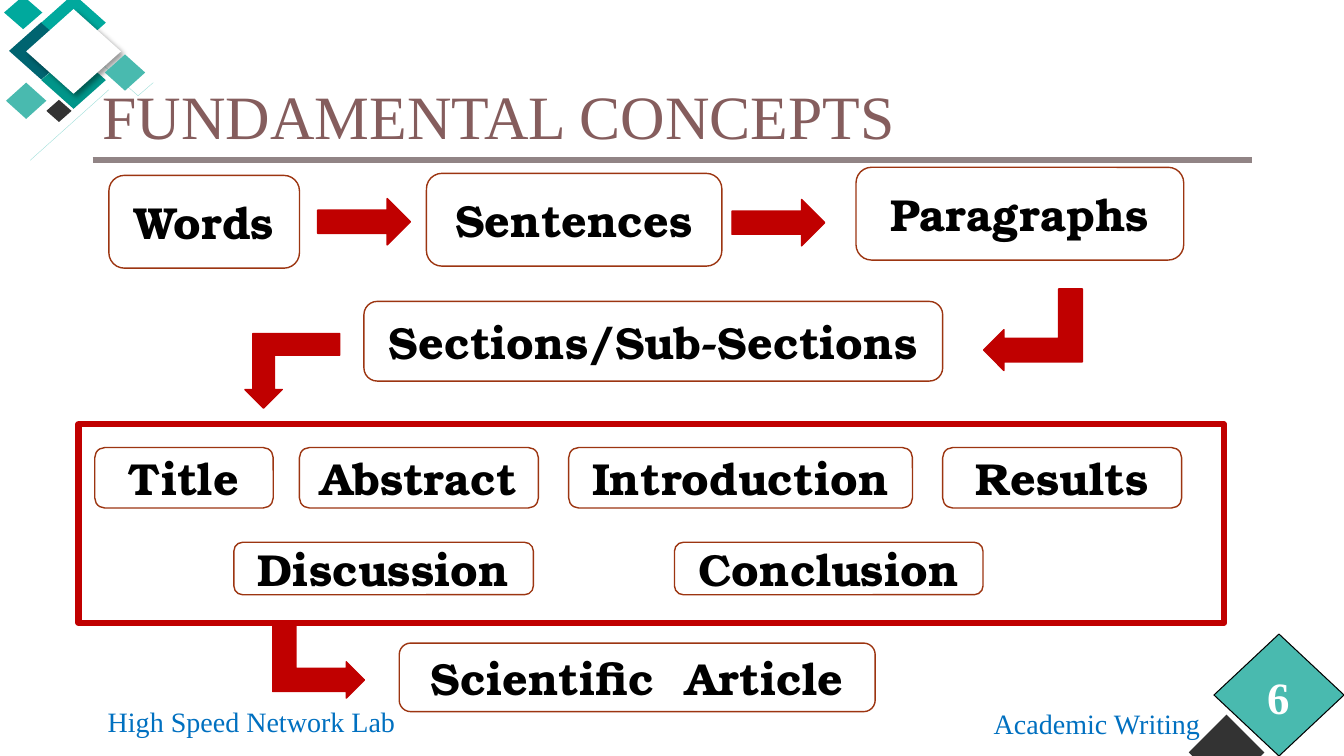
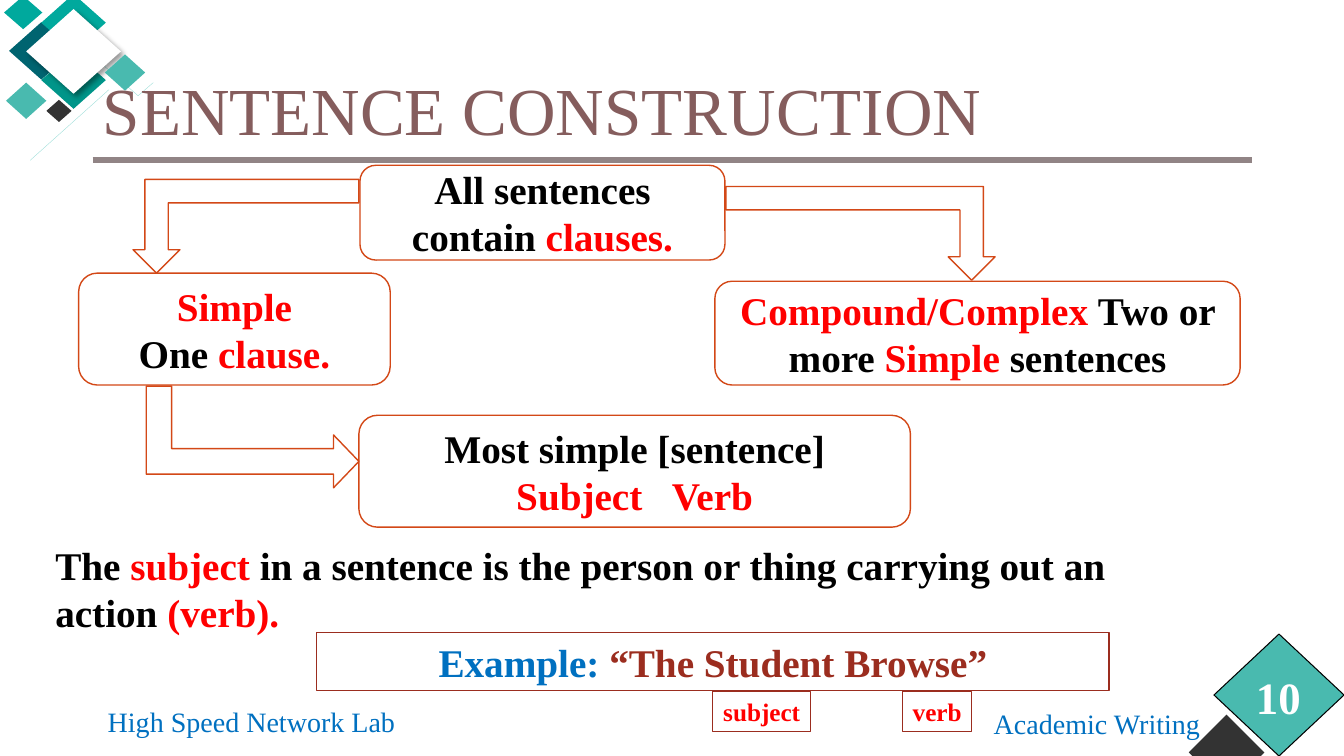
import lxml.etree
import pptx
import pptx.dml.color
import pptx.enum.shapes
import pptx.enum.text
import pptx.oxml.ns
import pptx.util

Inches, Pt = pptx.util.Inches, pptx.util.Pt
SHAPE = pptx.enum.shapes.MSO_SHAPE
ALIGN = pptx.enum.text.PP_ALIGN
qn = pptx.oxml.ns.qn

# Shared look
SERIF, DISPLAY = "Times New Roman", "TeX Gyre Bonum"
BLACK, WHITE, RED, BLUE = "000000", "FFFFFF", "FF0000", "0070C0"
TITLE, RULE, TEAL, MINT, CHARCOAL = "855D5D", "918485", "00A99D", "49BAAF", "333333"
RUST, ORANGE, CRIMSON, BRICK = "9C3511", "D34817", "C00000", "9B2D1F"

# Corner ornament: (left, top, width, height), fill
BACK_DIAMONDS = [
    ((0.09, 0.22, 0.64, 0.57), "006470"),
    ((0.41, -0.06, 0.64, 0.57), TEAL),
    ((0.04, -0.04, 0.38, 0.33), TEAL),
    ((0.41, 0.51, 0.64, 0.57), "009589"),
    ((0.46, 0.99, 0.25, 0.22), CHARCOAL),
]
HAIRLINES = [
    (0.8, 0.45, 1.37, 0.95),
    (1.37, 0.95, 1.52, 0.82),
    (1.08, 0.89, 0.3, 1.59),
]
CENTRE_DIAMOND = (0.26, 0.09, 0.94, 0.84)
FRONT_DIAMONDS = [
    ((1.04, 0.54, 0.4, 0.36), MINT),
    ((0.06, 0.82, 0.4, 0.36), MINT),
]
FOOTERS = [
    ("High Speed Network Lab", (0.97, 6.93, 3.32, 0.46), ALIGN.LEFT),
    ("Academic Writing", (9.71, 6.96, 2.34, 0.44), ALIGN.CENTER),
]

# Slide 1: steps as (runs, box); a run is text, colour and optional letter spacing
STEPS = [
    ([("Words", BLACK)], (1.08, 1.74, 1.89, 0.92)),
    ([("Sentences", BLACK)], (4.23, 1.72, 2.93, 0.92)),
    ([("Paragraphs", BLACK)], (8.49, 1.66, 3.25, 0.92)),
    ([("Sections/Sub-Sections", BLACK)], (3.61, 2.99, 5.74, 0.79)),
    ([("Scientific", BLACK), (" ", BLACK, 11), ("Article", BLACK)],
     (3.96, 6.38, 4.72, 0.68)),
]
# Article parts by row: top, height, (name, left, width)
PART_ROWS = [
    (4.44, 0.6, [("Title", 0.94, 1.77), ("Abstract", 2.97, 2.37),
                 ("Introduction", 5.64, 3.41), ("Results", 9.35, 2.37)]),
    (5.38, 0.52, [("Discussion", 2.32, 2.97), ("Conclusion", 6.69, 3.06)]),
]
PARTS_FRAME = (0.78, 4.21, 11.36, 1.97)
STRAIGHT_ARROWS = [(3.15, 1.97, 0.92, 0.46), (7.26, 1.98, 0.92, 0.46)]
# Bent arrows: box, rotation, flips, adjustments
CONCEPT_TURNS = [
    ((2.8, 6.11, 0.72, 0.91), 270, "HV", (0.32, 0.25, 0.25)),
    ((9.84, 2.78, 0.81, 0.98), 90, "V", (0.29, 0.25, 0.25)),
    ((2.43, 3.31, 0.94, 0.74), 0, "HV", (0.29, 0.25, 0.25)),
]

# Slide 2: clause boxes as (paragraphs, box)
CLAUSES = [
    ([[("Simple", RED)], [("One ", BLACK), ("clause.", RED)]],
     (0.78, 2.71, 3.09, 1.11)),
    ([[("Compound/Complex ", RED), ("Two or more ", BLACK),
       ("Simple ", RED), ("sentences", BLACK)]],
     (7.09, 2.79, 5.21, 1.03)),
    ([[("Most simple [sentence]", BLACK)],
      [("Subject", RED), (" ", RED, 14), ("Verb", RED)]],
     (3.56, 4.12, 5.47, 1.11)),
    ([[("All sentences contain ", BLACK), ("clauses.", RED)]],
     (3.57, 1.64, 3.62, 0.94)),
]
CLAUSE_TURNS = [
    ((1.32, 1.78, 2.24, 0.93), 180, "", (0.25, 0.25, 0.25)),
    ((7.2, 1.85, 2.67, 0.93), 180, "H", (0.25, 0.25, 0.25)),
    ((2, 3.28, 1.01, 2.11), 90, "", (0.25, 0.26, 0.25)),
]
DEFINITION = [("The ", BLACK), ("subject ", RED),
              ("in a sentence is the person or thing carrying out an action ", BLACK),
              ("(verb).", RED)]
EXAMPLE = [("Example:", BLUE), (" “The Student Browse”", BRICK)]
EXAMPLE_LABELS = [("subject", (7.07, 6.86, 0.97, 0.4)),
                  ("verb", (8.95, 6.86, 0.69, 0.4))]


def rgb(value):
    return pptx.dml.color.RGBColor.from_string(value)


def write(shape, paragraphs, size, font=SERIF, bold=True, align=ALIGN.CENTER,
          wrap=True, spacing=None):
    frame = shape.text_frame
    frame.word_wrap = wrap
    frame.vertical_anchor = pptx.enum.text.MSO_ANCHOR.MIDDLE
    for index, runs in enumerate(paragraphs):
        paragraph = frame.add_paragraph() if index else frame.paragraphs[0]
        paragraph.alignment = align
        if spacing:
            paragraph.line_spacing = spacing
        for text, colour, *letter_spacing in runs:
            run = paragraph.add_run()
            run.text = text
            run.font.name, run.font.size, run.font.bold = font, Pt(size), bold
            run.font.color.rgb = rgb(colour)
            if letter_spacing:
                run.font._element.set("spc", str(letter_spacing[0] * 100))


def add_text(slide, box, paragraphs, size, **style):
    write(slide.shapes.add_textbox(*map(Inches, box)), paragraphs, size, **style)


def add_figure(slide, preset, box, fill=None, line=None, width=1):
    figure = slide.shapes.add_shape(preset, *map(Inches, box))
    figure.shadow.inherit = False
    if fill:
        figure.fill.solid()
        figure.fill.fore_color.rgb = rgb(fill)
    else:
        figure.fill.background()
    if line:
        figure.line.color.rgb = rgb(line)
        figure.line.width = Pt(width)
    else:
        figure.line.fill.background()
    return figure


def add_line(slide, ends, colour, width):
    line = slide.shapes.add_connector(
        pptx.enum.shapes.MSO_CONNECTOR.STRAIGHT, *map(Inches, ends))
    line.line.color.rgb = rgb(colour)
    line.line.width = Pt(width)
    lxml.etree.SubElement(line._element.spPr, qn("a:effectLst"))


def add_turn(slide, box, rotation, flips, adjustments, fill, line):
    turn = add_figure(slide, SHAPE.BENT_UP_ARROW, box, fill, line)
    turn.rotation = rotation
    for axis in flips:
        turn._element.spPr.find(qn("a:xfrm")).set("flip" + axis, "1")
    for index, value in enumerate(adjustments):
        turn.adjustments[index] = value


def add_soft_shadow(shape):
    effects = shape._element.spPr.find(qn("a:effectLst"))
    shadow = lxml.etree.SubElement(
        effects, qn("a:outerShdw"), blurRad=str(Pt(4)), dist=str(Pt(3)),
        dir=str(45 * 60000), algn="tl", rotWithShape="0")
    colour = lxml.etree.SubElement(shadow, qn("a:srgbClr"), val=BLACK)
    lxml.etree.SubElement(colour, qn("a:alpha"), val="40000")


def add_diamonds(slide, diamonds):
    for box, fill in diamonds:
        add_figure(slide, SHAPE.DIAMOND, box, fill)


def new_slide(deck, number, title, title_box, title_size):
    slide = deck.slides.add_slide(deck.slide_layouts[6])
    add_line(slide, (0.92, 1.59, 12.42, 1.59), RULE, 4.5)
    # Footers and page number
    for text, box, align in FOOTERS:
        add_text(slide, box, [[(text, BLUE)]], 20, bold=False, align=align)
    add_diamonds(slide, [((11.79, 7.09, 0.75, 0.75), CHARCOAL)])
    add_figure(slide, SHAPE.DIAMOND, (12.04, 6.29, 1.29, 1.21), MINT, BLACK, 0.75)
    add_text(slide, (11.96, 6.53, 1.44, 0.76), [[(str(number), WHITE)]], 32)
    # Corner ornament
    add_diamonds(slide, BACK_DIAMONDS)
    for ends in HAIRLINES:
        add_line(slide, ends, "99DDD8", 0.25)
    add_soft_shadow(add_figure(slide, SHAPE.DIAMOND, CENTRE_DIAMOND, WHITE))
    add_diamonds(slide, FRONT_DIAMONDS)
    # Title
    add_text(slide, title_box, [[(title, TITLE)]], title_size, bold=False,
             align=ALIGN.LEFT, spacing=0.9)
    return slide


def build_concepts(deck):
    slide = new_slide(deck, 6, "FUNDAMENTAL CONCEPTS", (0.92, 0.56, 11.33, 1.25), 44)
    for turn in CONCEPT_TURNS:
        add_turn(slide, *turn, CRIMSON, CRIMSON)
    for box in STRAIGHT_ARROWS:
        add_figure(slide, SHAPE.RIGHT_ARROW, box, CRIMSON, CRIMSON)
    add_figure(slide, SHAPE.RECTANGLE, PARTS_FRAME, line=CRIMSON, width=4.5)
    parts = [([(name, BLACK)], (left, top, width, height))
             for top, height, row in PART_ROWS for name, left, width in row]
    for runs, box in STEPS + parts:
        step = add_figure(slide, SHAPE.ROUNDED_RECTANGLE, box, WHITE, RUST)
        write(step, [runs], 32, font=DISPLAY)


def build_sentences(deck):
    slide = new_slide(deck, 10, "SENTENCE CONSTRUCTION", (0.92, 0.4, 11.5, 1.45), 48)
    for paragraphs, box in CLAUSES:
        clause = add_figure(slide, SHAPE.ROUNDED_RECTANGLE, box, WHITE, ORANGE)
        write(clause, paragraphs, 28)
    for turn in CLAUSE_TURNS:
        add_turn(slide, *turn, WHITE, ORANGE)
    add_text(slide, (0.45, 5.32, 11.65, 1.04), [DEFINITION], 28, align=ALIGN.LEFT)
    # Worked example
    example = add_figure(slide, SHAPE.RECTANGLE, (3.14, 6.28, 7.86, 0.57),
                         line=BRICK, width=0.75)
    write(example, [EXAMPLE], 28)
    for text, box in EXAMPLE_LABELS:
        label = add_figure(slide, SHAPE.RECTANGLE, box, line=BRICK, width=0.75)
        write(label, [[(text, RED)]], 18, wrap=False)


def main():
    deck = pptx.Presentation()
    deck.slide_width, deck.slide_height = Inches(13.33), Inches(7.5)
    build_concepts(deck)
    build_sentences(deck)
    deck.save("out.pptx")


if __name__ == "__main__":
    main()
